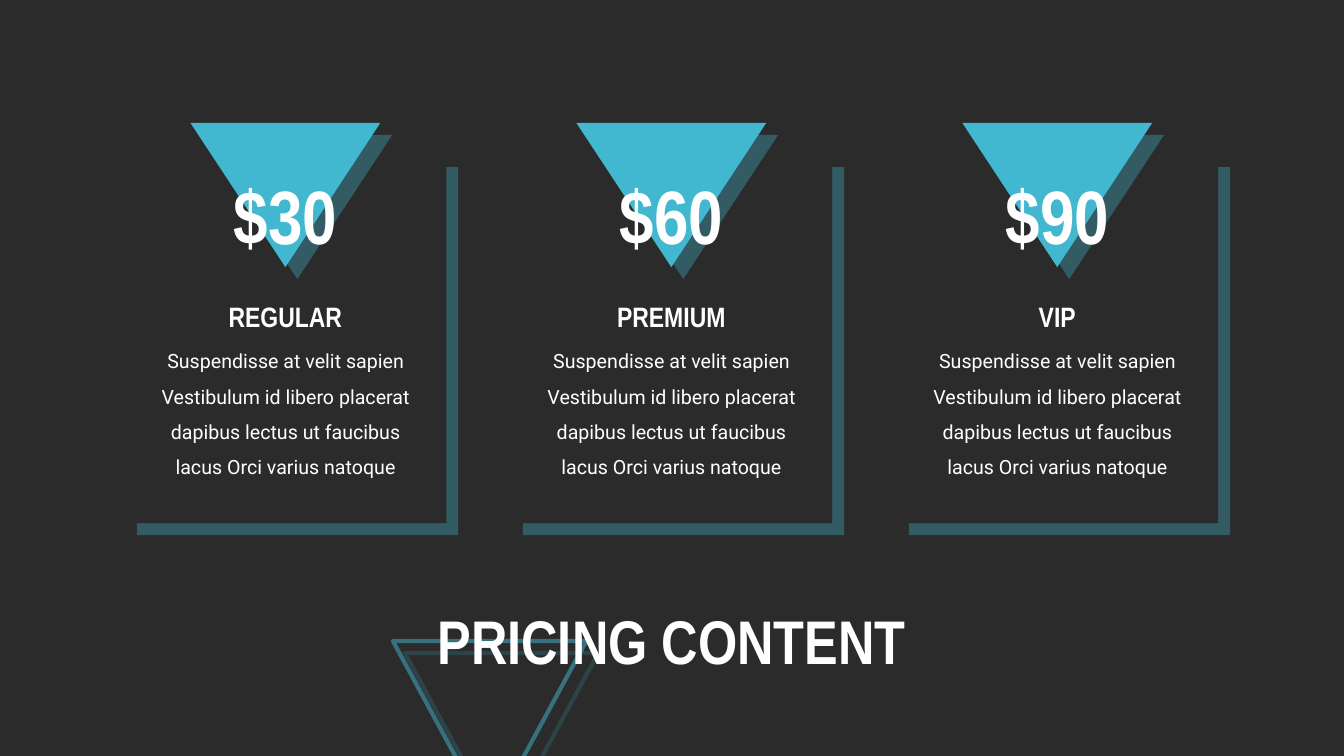
"""Build the pricing slide with three plan cards and a title."""
import pptx
import pptx.dml.color
import pptx.enum.shapes
import pptx.enum.text
import pptx.oxml
import pptx.oxml.ns
import pptx.util

Pt = pptx.util.Pt
SHAPES = pptx.enum.shapes.MSO_SHAPE
DARK, TEAL, WHITE = "2B2B2B", "41B7D0", "FFFFFF"
HEADING, BODY = "Arial Narrow", "Roboto"
PLANS = [("REGULAR", "$30"), ("PREMIUM", "$60"), ("VIP", "$90")]
DESCRIPTION = ("Suspendisse at velit sapien Vestibulum id libero placerat "
               "dapibus lectus ut faucibus lacus Orci varius natoque")
CARD_LEFT, CARD_PITCH = 89.3, 275.8


def color(value):
    return pptx.dml.color.RGBColor.from_string(value)


def apply(target, values):
    for name, value in values.items():
        setattr(target, name, value)


class PricingSlide:
    def __init__(self, presentation):
        self.slide = presentation.slides.add_slide(presentation.slide_layouts[6])
        self.shapes = self.slide.shapes
        fill = self.slide.background.fill
        fill.solid()
        fill.fore_color.rgb = color(DARK)

    def set_alpha(self, fill_parent, percent):
        for element in fill_parent.iter(pptx.oxml.ns.qn("a:srgbClr")):
            element.append(pptx.oxml.parse_xml(
                f'<a:alpha {pptx.oxml.ns.nsdecls("a")} val="{percent * 1000}"/>'))

    def paint(self, shape, fill=None, line=None):
        shape.shadow.inherit = False
        if fill:
            shape.fill.solid()
            shape.fill.fore_color.rgb = color(fill)
        else:
            shape.fill.background()
        if line:
            shape.line.color.rgb = color(line)
            shape.line.width = Pt(3)
        else:
            shape.line.fill.background()

    def add_backdrop(self, points, alpha):
        builder = self.shapes.build_freeform(*map(Pt, points[0]))
        builder.add_line_segments([tuple(map(Pt, point)) for point in points[1:]])
        shape = builder.convert_to_shape()
        self.paint(shape, fill=DARK)
        self.set_alpha(shape._element.spPr, alpha)

    def add_shadowed(self, kind, box, fill=None, line=None, rotation=0):
        shape = self.shapes.add_shape(kind, *map(Pt, box))
        shape.rotation = rotation
        self.paint(shape, fill, line)
        if line:
            self.set_alpha(shape.line._ln, 50)
        effects = shape._element.spPr.find(pptx.oxml.ns.qn("a:effectLst"))
        effects.append(pptx.oxml.parse_xml(
            f'<a:outerShdw {pptx.oxml.ns.nsdecls("a")} blurRad="0" dist="{Pt(12.1)}" '
            'dir="2700000" algn="tl" rotWithShape="0">'
            f'<a:srgbClr val="{TEAL}"><a:alpha val="35000"/></a:srgbClr></a:outerShdw>'))

    def add_text(self, text, box, size, font=HEADING, bold=True, spacing=1.0, middle=False):
        anchors = pptx.enum.text.MSO_ANCHOR
        fits = pptx.enum.text.MSO_AUTO_SIZE
        frame = self.shapes.add_textbox(*map(Pt, box)).text_frame
        apply(frame, {"word_wrap": True,
                      "auto_size": fits.NONE if middle else fits.SHAPE_TO_FIT_TEXT,
                      "vertical_anchor": anchors.MIDDLE if middle else anchors.TOP})
        paragraph = frame.paragraphs[0]
        apply(paragraph, {"alignment": pptx.enum.text.PP_ALIGN.CENTER,
                          "line_spacing": spacing})
        run = paragraph.add_run()
        run.text = text
        apply(run.font, {"name": font, "size": Pt(size), "bold": bold})
        run.font.color.rgb = color(WHITE)

    def add_card(self, left, plan, price):
        self.add_shadowed(SHAPES.RECTANGLE, (left, 110.9, 229.7, 262.8), fill=DARK)
        self.add_shadowed(SHAPES.ISOSCELES_TRIANGLE, (left + 46.8, 87.8, 135.7, 103),
                          fill=TEAL, rotation=180)
        self.add_text(price, (left + 54.7, 117.4, 120.2, 72), 54)
        self.add_text(plan, (left + 46.8, 210.2, 135.7, 31.7), 20)
        self.add_text(DESCRIPTION, (left + 13.7, 237.6, 202.3, 108), 14,
                      font=BODY, bold=False, spacing=1.5)


def main():
    presentation = pptx.Presentation()
    apply(presentation, {"slide_width": Pt(960.48), "slide_height": Pt(540)})
    pricing = PricingSlide(presentation)
    pricing.add_backdrop([(0, 0), (960, 0), (960, 68.4), (480, 324), (0, 68.4)], 80)
    pricing.add_shadowed(SHAPES.ISOSCELES_TRIANGLE, (280.8, 457.9, 138.2, 127.4),
                         line=TEAL, rotation=180)
    pricing.add_text("PRICING CONTENT", (235.4, 424.8, 489.6, 70.6), 44,
                     spacing=0.9, middle=True)
    for index, (plan, price) in enumerate(PLANS):
        pricing.add_card(CARD_LEFT + index * CARD_PITCH, plan, price)
    presentation.save("out.pptx")


if __name__ == "__main__":
    main()
